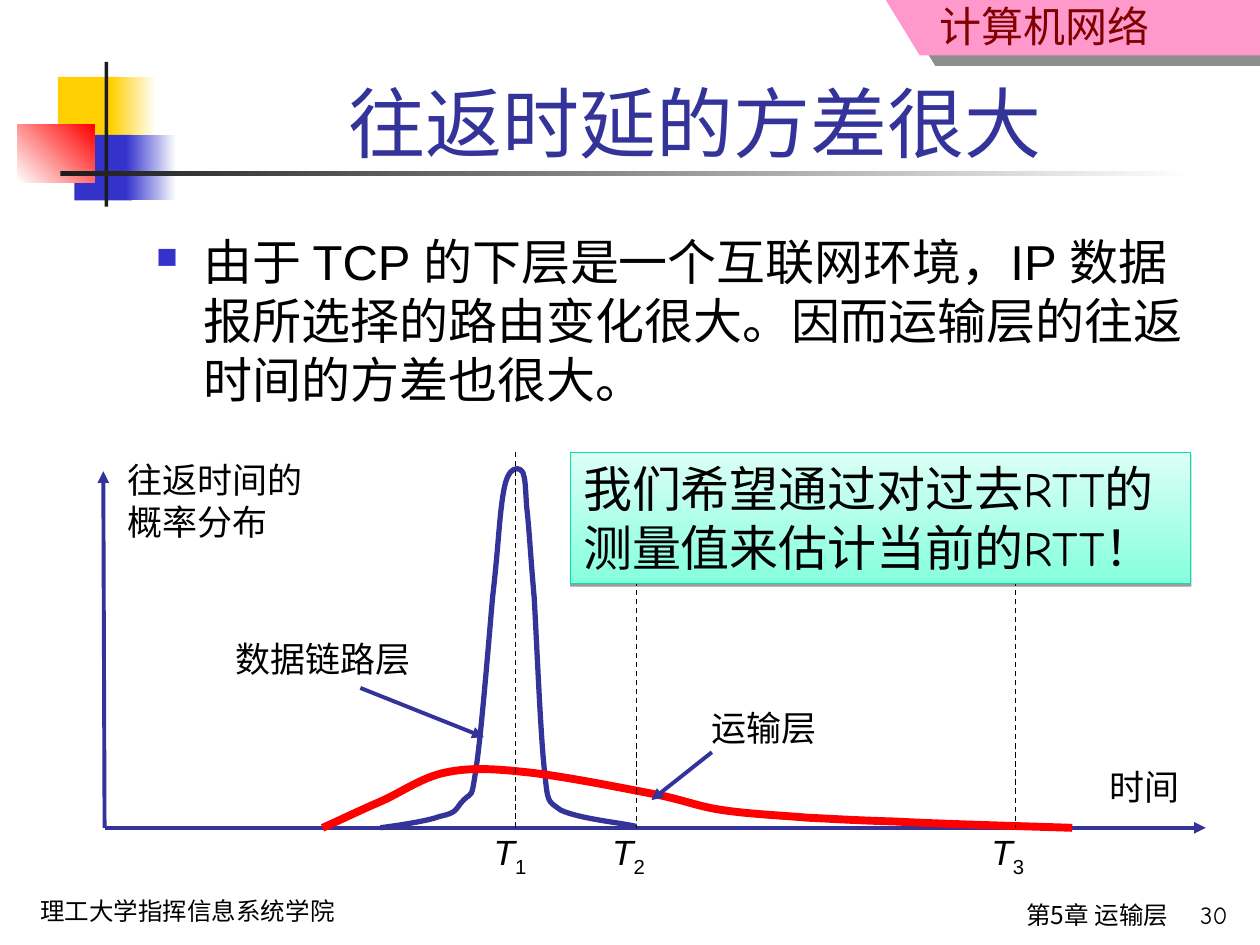
from dataclasses import dataclass

from lxml import etree
from pptx import Presentation
from pptx.dml.color import RGBColor
from pptx.enum.dml import MSO_LINE
from pptx.enum.shapes import MSO_CONNECTOR, MSO_SHAPE
from pptx.enum.text import MSO_ANCHOR, MSO_AUTO_SIZE, PP_ALIGN
from pptx.oxml.ns import qn
from pptx.util import Inches, Pt

LEFT, CENTER, RIGHT = PP_ALIGN.LEFT, PP_ALIGN.CENTER, PP_ALIGN.RIGHT
TOP, BOTTOM = MSO_ANCHOR.TOP, MSO_ANCHOR.BOTTOM
FIT_TEXT = MSO_AUTO_SIZE.SHAPE_TO_FIT_TEXT
RECTANGLE, STRAIGHT, DASH = MSO_SHAPE.RECTANGLE, MSO_CONNECTOR.STRAIGHT, MSO_LINE.DASH

ARIAL, COMIC, CJK = "Arial", "Comic Neue", "Noto Sans CJK SC"
COLORS = {
    "white": "FFFFFF", "black": "000000", "ink": "1C1C1C", "pink": "FF99CC",
    "maroon": "800000", "yellow": "FFCF01", "blue": "3333CC", "red": "FF0000",
    "navy": "333399", "mint": "85FFDE", "pale": "DCFFF5", "edge": "00E4A7",
}
AXIS_X, AXIS_Y = 0.83, 6.57


@dataclass
class Block:
    box: tuple[float, float, float, float]
    color: str
    end_color: str = ""
    angle: int = 0  # counter-clockwise


@dataclass
class Label:
    box: tuple[float, float, float, float]
    lines: tuple[str, ...]
    size: int = 20
    font: str = ARIAL
    color: str = "black"
    align: PP_ALIGN = LEFT
    anchor: MSO_ANCHOR = TOP
    wrap: bool = False
    inset_top: float = 0.05


@dataclass
class Stroke:
    start: tuple[float, float]
    end: tuple[float, float]
    color: str = "navy"
    width: float = 2.25
    dashed: bool = False


BLOCKS = [
    Block((0.46, 0.61, 0.48, 0.52), "yellow"),
    Block((0.88, 0.61, 0.36, 0.52), "yellow", "white"),
    Block((0.59, 1.07, 0.46, 0.52), "blue"),
    Block((1, 1.07, 0.4, 0.52), "blue", "white"),
    Block((0.14, 0.99, 0.61, 0.46), "white", "red", 45),
    Block((0.83, 0.49, 0.03, 1.15), "ink"),
    Block((0.48, 1.36, 9, 0.04), "ink", "white"),
]
FRAME_LABELS = [
    Label((5.82, 0, 3.4, 0.45), ("计算机网络",), 24, CJK, "maroon", RIGHT, wrap=True, inset_top=0),
    Label((0.22, 7.06, 3.11, 0.34), ("理工大学指挥信息系统学院",), 14, COMIC, wrap=True),
    Label((4.29, 7.09, 5.08, 0.41), ("第5章 运输层",), 14, CJK, align=RIGHT, wrap=True),
    Label((9.05, 7.09, 0.79, 0.38), ("30",), 14, COMIC, align=RIGHT, wrap=True),
    Label((1.26, 0.23, 8.52, 1.15), ("往返时延的方差很大",), 44, ARIAL, "navy", CENTER, BOTTOM, True),
]
BODY = Label((1.14, 1.79, 8.5, 1.85), (
    "由于 TCP 的下层是一个互联网环境，IP 数据报所选择的路由变化很大。因而运输层的往返时间的方差也很大。",
), 28, wrap=True)
CHART_LABELS = [
    Label((8.71, 6.03, 0.78, 0.44), ("时间",)),
    Label((1.77, 5.01, 1.62, 0.44), ("数据链路层",)),
    Label((5.55, 5.56, 1.06, 0.44), ("运输层",)),
    Label((0.91, 3.59, 1.62, 0.77), ("往返时间的", "概率分布")),
]
CALLOUT = Label((4.53, 3.59, 4.92, 1.04), ("我们希望通过对过去RTT的测量值来估计当前的RTT！",), 28, COMIC, wrap=True)
AXES = [Stroke((AXIS_X, AXIS_Y), (9.57, AXIS_Y)), Stroke((AXIS_X, AXIS_Y), (0.82, 3.74))]
POINTERS = [Stroke((2.86, 5.46), (3.84, 5.85)), Stroke((5.65, 5.97), (5.17, 6.35))]
# Subscript, position and top of each time marker, then left of its label
MARKERS = [("1", 4.09, 3.59, 3.82), ("2", 5.05, 4.18, 4.76), ("3", 8.06, 4.18, 7.77)]

# Start point, then two control points and an end point per Bezier segment
LINK_CURVE = [
    (3.02, 6.57), (3.1, 6.56), (3.39, 6.52), (3.49, 6.48), (3.64, 6.45), (3.61, 6.42), (3.68, 6.35),
    (3.75, 6.28), (3.74, 6.36), (3.78, 6.09), (3.82, 5.83), (3.88, 5.08), (3.91, 4.74),
    (3.95, 4.39), (3.96, 4.18), (3.98, 4.02), (4, 3.85), (4.02, 3.79), (4.05, 3.75),
    (4.08, 3.71), (4.13, 3.71), (4.15, 3.75), (4.17, 3.8), (4.17, 3.86), (4.18, 4.02),
    (4.2, 4.19), (4.21, 4.4), (4.24, 4.74), (4.26, 5.09), (4.29, 5.82), (4.32, 6.1),
    (4.35, 6.38), (4.34, 6.35), (4.45, 6.43), (4.6, 6.5), (4.93, 6.53), (5.05, 6.56),
]
TRANSPORT_CURVE = [
    (2.56, 6.57), (2.63, 6.54), (2.84, 6.44), (3, 6.37), (3.17, 6.3), (3.34, 6.17), (3.54, 6.13),
    (3.73, 6.09), (3.92, 6.1), (4.19, 6.13), (4.47, 6.16), (4.92, 6.25), (5.18, 6.3),
    (5.44, 6.35), (5.53, 6.4), (5.74, 6.43), (5.94, 6.46), (6.18, 6.47), (6.41, 6.49),
    (6.64, 6.5), (6.76, 6.51), (7.11, 6.52), (7.46, 6.54), (8.22, 6.56), (8.51, 6.57),
]


def rgb(name: str) -> RGBColor:
    return RGBColor.from_string(COLORS[name])


def child(parent, tag: str, **attributes):
    return etree.SubElement(parent, qn(tag), attributes)


def add_shadow(shape, color: str, alpha: int, distance: float, degrees: int) -> None:
    effects = shape._element.spPr.find(qn("a:effectLst"))
    shadow = child(effects, "a:outerShdw", blurRad="0", dist=str(int(Pt(distance))),
                   dir=str(degrees * 60000), algn="ctr", rotWithShape="0")
    tint = child(shadow, "a:srgbClr", val=COLORS[color])
    child(tint, "a:alpha", val=str(alpha * 1000))


def draw_block(page, block: Block):
    shape = page.shapes.add_shape(RECTANGLE, *map(Inches, block.box))
    shape.shadow.inherit = False
    shape.line.fill.background()
    if block.end_color:
        shape.fill.gradient()
        shape.fill.gradient_angle = block.angle
        for stop, name in zip(shape.fill.gradient_stops, (block.color, block.end_color)):
            stop.color.rgb = rgb(name)
    else:
        shape.fill.solid()
        shape.fill.fore_color.rgb = rgb(block.color)
    return shape


def set_font(para, label: Label) -> None:
    font = para.font
    font.name, font.size, font.color.rgb = label.font, Pt(label.size), rgb(label.color)
    child(para._p.pPr.find(qn("a:defRPr")), "a:ea", typeface=CJK)


def write_text(shape, label: Label, bullet: bool = False) -> None:
    frame = shape.text_frame
    frame.word_wrap = label.wrap
    if not label.wrap:
        frame.auto_size = FIT_TEXT
    frame.vertical_anchor = label.anchor
    frame.margin_top = Inches(label.inset_top)
    frame.text = "\n".join(label.lines)
    for para in frame.paragraphs:
        para.alignment = label.align
        if bullet:
            add_bullet(para)
        set_font(para, label)


def add_bullet(para) -> None:
    properties = para._p.get_or_add_pPr()
    indent = int(Inches(0.38))
    properties.set("marL", str(indent))
    properties.set("indent", str(-indent))
    child(child(properties, "a:buClr"), "a:srgbClr", val=COLORS["blue"])
    child(properties, "a:buSzPct", val="60000")
    child(properties, "a:buChar", char="■")


def draw_label(page, label: Label, bullet: bool = False):
    box = page.shapes.add_textbox(*map(Inches, label.box))
    write_text(box, label, bullet)
    return box


def draw_stroke(page, stroke: Stroke) -> None:
    line = page.shapes.add_connector(STRAIGHT, *map(Inches, stroke.start + stroke.end))
    line.line.color.rgb = rgb(stroke.color)
    line.line.width = Pt(stroke.width)
    if stroke.dashed:
        line.line.dash_style = DASH
    else:
        child(line.line._get_or_add_ln(), "a:tailEnd", type="triangle")
    child(line._element.spPr, "a:effectLst")


def draw_outline(page, points: list[tuple[float, float]], close: bool):
    corners = [(Inches(x), Inches(y)) for x, y in points]
    builder = page.shapes.build_freeform(*corners[0])
    builder.add_line_segments(corners[1:], close=close)
    shape = builder.convert_to_shape()
    shape.shadow.inherit = False
    return shape


def draw_curve(page, points: list[tuple[float, float]], color: str, width: float) -> None:
    shape = draw_outline(page, points, close=False)
    shape.fill.background()
    shape.line.color.rgb = rgb(color)
    shape.line.width = Pt(width)
    # Join each three straight steps into one Bezier segment
    steps = list(shape._element.iter(qn("a:lnTo")))
    path = steps[0].getparent()
    for first in range(0, len(steps), 3):
        bezier = child(path, "a:cubicBezTo")
        for step in steps[first:first + 3]:
            bezier.append(step[0])
            path.remove(step)


def draw_marker(page, subscript: str, x: float, top: float, label_left: float) -> None:
    draw_stroke(page, Stroke((x, top), (x, AXIS_Y), "black", 0.75, dashed=True))
    box = draw_label(page, Label((label_left, 6.54, 0.46, 0.48), ("T",)))
    para = box.text_frame.paragraphs[0]
    para.runs[0].font.italic = True
    span = para.add_run()
    span.text = subscript
    span.font.italic = False
    span._r.get_or_add_rPr().set("baseline", "-25000")


def main() -> None:
    deck = Presentation()
    deck.slide_width, deck.slide_height = Inches(10), Inches(7.5)
    page = deck.slides.add_slide(deck.slide_layouts[6])

    # Course banner, ornament, title and footer
    banner = draw_outline(page, [(7.03, 0), (7.3, 0.44), (10, 0.44), (10, 0)], close=True)
    banner.fill.solid()
    banner.fill.fore_color.rgb = rgb("pink")
    banner.line.fill.background()
    add_shadow(banner, "ink", 50, 10.8, 34)
    for block in BLOCKS:
        draw_block(page, block)
    for label in FRAME_LABELS:
        draw_label(page, label)
    draw_label(page, BODY, bullet=True)

    # Round-trip time distribution
    for axis in AXES:
        draw_stroke(page, axis)
    draw_curve(page, LINK_CURVE, "navy", 3)
    draw_curve(page, TRANSPORT_CURVE, "red", 4.5)
    for marker in MARKERS:
        draw_marker(page, *marker)
    for label in CHART_LABELS:
        draw_label(page, label)
    for pointer in POINTERS:
        draw_stroke(page, pointer)

    # Callout over the time markers
    callout = draw_block(page, Block(CALLOUT.box, "mint", "pale", 90))
    callout.line.color.rgb = rgb("edge")
    callout.line.width = Pt(0.75)
    add_shadow(callout, "black", 38, 1.6, 90)
    write_text(callout, CALLOUT)

    deck.save("out.pptx")


if __name__ == "__main__":
    main()
